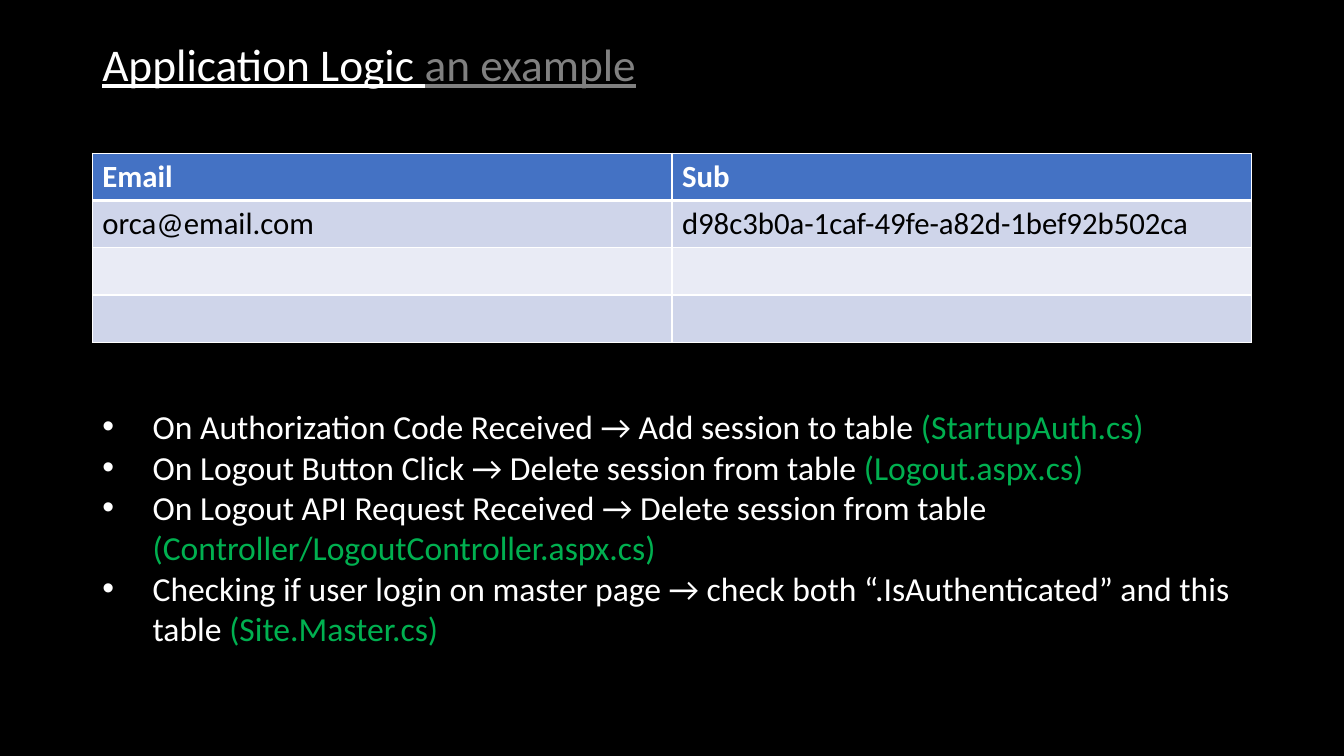
from lxml import etree
from pptx import Presentation
from pptx.dml.color import RGBColor
from pptx.enum.text import MSO_ANCHOR
from pptx.oxml.ns import qn
from pptx.util import Pt

MIDDLE = MSO_ANCHOR.MIDDLE
WHITE, BLACK, GRAY, GREEN = "FFFFFF", "000000", "808080", "00B050"
LEFT, WIDTH = Pt(66), Pt(828)
ROW_FILLS = ["4472C4", "CFD5EA", "E9EBF5", "CFD5EA"]
SESSIONS = [
    ["Email", "Sub"],
    ["orca@email.com", "d98c3b0a-1caf-49fe-a82d-1bef92b502ca"],
    ["", ""],
    ["", ""],
]
# (bulleted, description, source file)
STEPS = [
    (True, "On Authorization Code Received → Add session to table ", "(StartupAuth.cs)"),
    (True, "On Logout Button Click → Delete session from table ", "(Logout.aspx.cs)"),
    (True, "On Logout API Request Received → Delete session from table", ""),
    (False, "", "(Controller/LogoutController.aspx.cs)"),
    (True, "Checking if user login on master page → check both “.IsAuthenticated” "
           "and this table ", "(Site.Master.cs)"),
]


def color(hex_string):
    return RGBColor.from_string(hex_string)


def add_run(p, text, size=24, fill=WHITE, bold=False, underline=False):
    r = p.add_run()
    r.text = text
    r.font.name = "Calibri"
    r.font.size = Pt(size)
    r.font.color.rgb = color(fill)
    r.font.bold = bold
    r.font.underline = underline


prs = Presentation()
prs.slide_width, prs.slide_height = Pt(960), Pt(540)
s = prs.slides.add_slide(prs.slide_layouts[6])
s.background.fill.solid()
s.background.fill.fore_color.rgb = color(BLACK)

# Title
tf = s.shapes.add_textbox(LEFT, Pt(28.8), WIDTH, Pt(38.2)).text_frame
tf.word_wrap = True
tf.vertical_anchor = MIDDLE
p = tf.paragraphs[0]
p.line_spacing = 0.9
add_run(p, "Application Logic ", size=32.4, underline=True)
add_run(p, "an example", size=32.4, fill=GRAY, underline=True)

# Session table
table = s.shapes.add_table(4, 2, LEFT, Pt(109.4), WIDTH, Pt(135.2)).table
for row, (texts, row_fill) in enumerate(zip(SESSIONS, ROW_FILLS)):
    header = row == 0
    for col, text in enumerate(texts):
        cell = table.cell(row, col)
        if text:
            add_run(cell.text_frame.paragraphs[0], text, size=22,
                    fill=WHITE if header else BLACK, bold=header)
        widths = {"lnL": 1, "lnR": 1, "lnT": 3 if row == 1 else 1, "lnB": 3 if header else 1}
        tcPr = cell._tc.get_or_add_tcPr()
        for side, width in widths.items():
            ln = etree.SubElement(tcPr, qn(f"a:{side}"), w=str(Pt(width)))
            line_fill = etree.SubElement(ln, qn("a:solidFill"))
            etree.SubElement(line_fill, qn("a:srgbClr"), val=WHITE)
        cell.fill.solid()
        cell.fill.fore_color.rgb = color(row_fill)

# Steps
tf = s.shapes.add_textbox(LEFT, Pt(286.6), WIDTH, Pt(216)).text_frame
tf.word_wrap = True
for i, (bulleted, description, source_file) in enumerate(STEPS):
    p = tf.add_paragraph() if i else tf.paragraphs[0]
    pPr = p._p.get_or_add_pPr()
    pPr.set("marL", str(Pt(36)))
    pPr.set("indent", str(Pt(-36 if bulleted else 0)))
    if bulleted:
        etree.SubElement(pPr, qn("a:buFont"), typeface="Arial")
        etree.SubElement(pPr, qn("a:buChar"), char="•")
    if description:
        add_run(p, description)
    if source_file:
        add_run(p, source_file, fill=GREEN)

prs.save("out.pptx")
